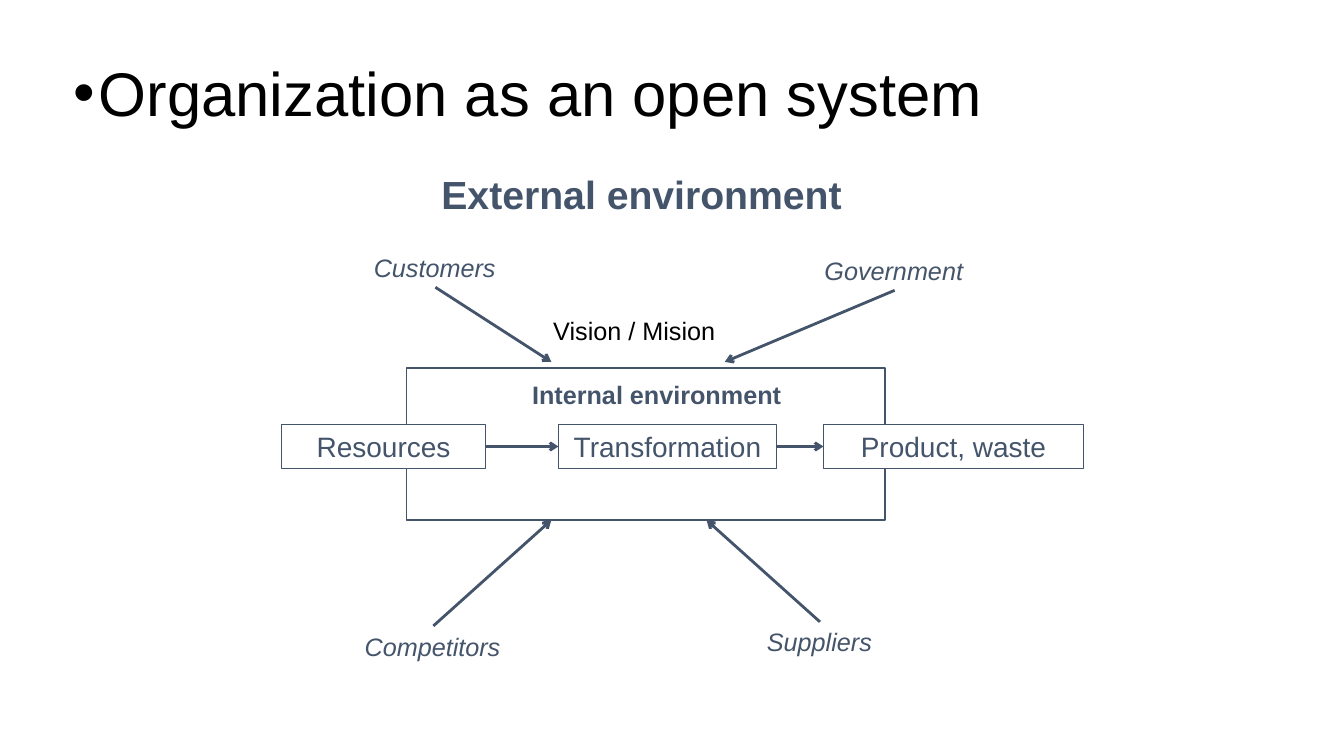
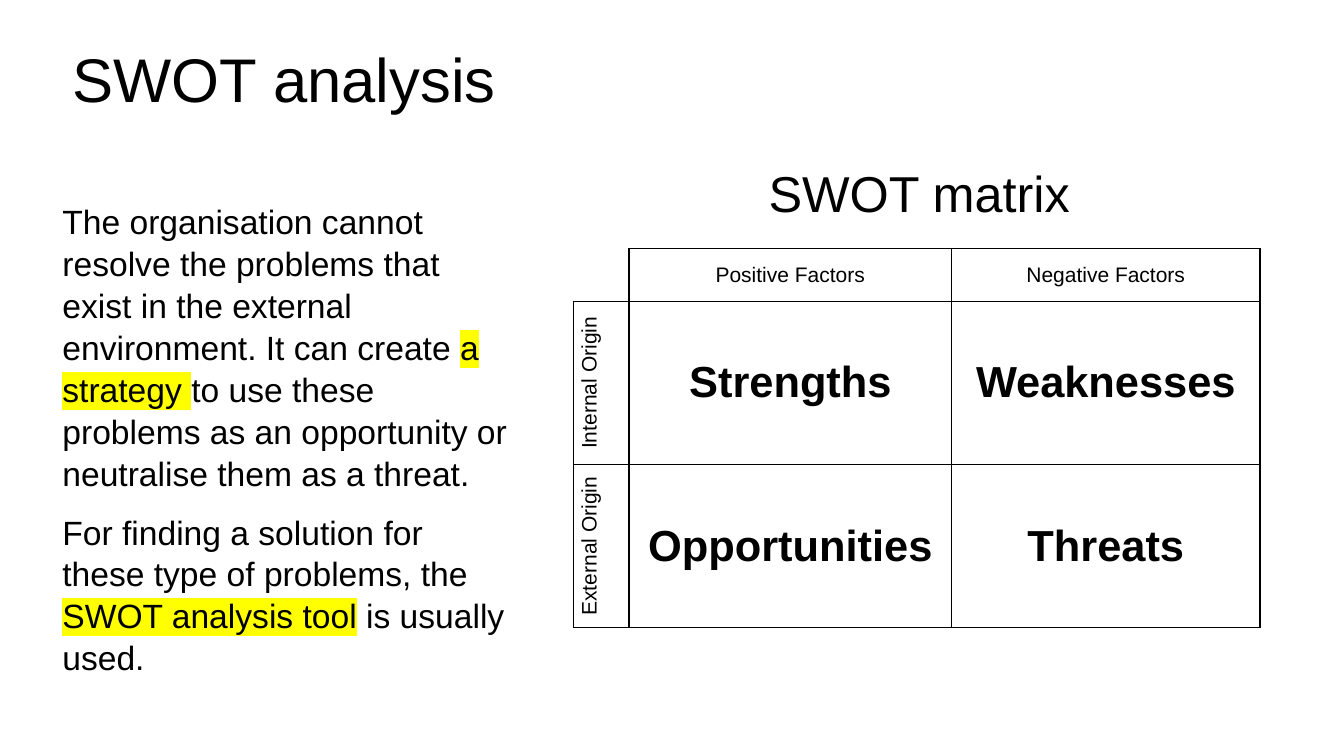
"""Build two slides: the organization as an open system and SWOT analysis."""
from lxml.etree import SubElement
from pptx import Presentation
from pptx.dml.color import RGBColor
from pptx.enum.shapes import MSO_CONNECTOR, MSO_SHAPE
from pptx.enum.text import MSO_ANCHOR, MSO_AUTO_SIZE, PP_ALIGN
from pptx.oxml.ns import qn
from pptx.util import Pt

BLACK, WHITE, SLATE, YELLOW = "000000", "FFFFFF", "44546A", "FFFF00"
color = RGBColor.from_string


def style_text(para, size, hex_color=BLACK, bold=False, italic=False, align=PP_ALIGN.LEFT):
    para.alignment = align
    for span in para.runs:
        span.font.name = "Arial"
        span.font.size = Pt(size)
        span.font.bold = bold
        span.font.italic = italic
        span.font.color.rgb = color(hex_color)


def add_label(page, text, left, top, width, height, size, **style):
    box = page.shapes.add_textbox(Pt(left), Pt(top), Pt(width), Pt(height))
    box.text_frame.word_wrap = False
    box.text_frame.text = text
    style_text(box.text_frame.paragraphs[0], size, **style)
    return box


deck = Presentation()
deck.slide_width, deck.slide_height = Pt(960), Pt(540)

pages = []
for layout, text, place, anchor in [
    (5, "Organization as an open system", (45.4, 28.8, 878.4, 79.9), MSO_ANCHOR.MIDDLE),
    (1, "SWOT analysis", (44.6, 25.9, 869, 60.5), MSO_ANCHOR.TOP),
]:
    page = deck.slides.add_slide(deck.slide_layouts[layout])
    title = page.shapes.title
    title.left, title.top, title.width, title.height = [Pt(length) for length in place]
    title.text_frame.text = text
    title.text_frame.auto_size = MSO_AUTO_SIZE.NONE
    title.text_frame.vertical_anchor = anchor
    style_text(title.text_frame.paragraphs[0], 44)
    pages.append(page)
system_page, swot_page = pages

para = system_page.shapes.title.text_frame.paragraphs[0]
para.line_spacing = 0.9
properties = para._p.get_or_add_pPr()
properties.set("marL", str(Pt(18)))
properties.set("indent", str(-Pt(18)))
SubElement(properties, qn("a:buFont")).set("typeface", "Arial")
SubElement(properties, qn("a:buChar")).set("char", "•")

boxes = {}
for text, left, top, width, height, weight in [
    ("", 290.2, 262.8, 342, 108.7, 1),
    ("Resources", 200.9, 303.1, 146.2, 31.7, 0.75),
    ("Product, waste", 588.2, 303.1, 185.8, 31.7, 0.75),
    ("Transformation", 398.9, 303.1, 155.9, 31.7, 0.75),
]:
    box = system_page.shapes.add_shape(
        MSO_SHAPE.RECTANGLE, Pt(left), Pt(top), Pt(width), Pt(height))
    box.shadow.inherit = False
    box.fill.solid()
    box.fill.fore_color.rgb = color(WHITE)
    box.line.color.rgb = color(SLATE)
    box.line.width = Pt(weight)
    box.text_frame.text = text
    style_text(box.text_frame.paragraphs[0], 20, SLATE, align=PP_ALIGN.CENTER)
    boxes[text] = box

arrows = []
for start, end in [("Resources", "Transformation"), ("Transformation", "Product, waste")]:
    arrow = system_page.shapes.add_connector(MSO_CONNECTOR.STRAIGHT, 0, 0, 0, 0)
    arrow.begin_connect(boxes[start], 3)
    arrow.end_connect(boxes[end], 1)
    arrows.append(arrow)

for text, left, top, width, side, end_x, end_y in [
    ("Customers", 259.9, 176.4, 102.2, 2, 393.8, 258.5),
    ("Competitors", 253.4, 447.1, 112.3, 0, 393.8, 371.5),
    ("Government", 581.8, 178.6, 114.5, 2, 517.7, 258.5),
    ("Suppliers", 540.7, 444.2, 90, 0, 504.7, 371.5),
]:
    label = add_label(system_page, text, left, top, width, 28.8, 18,
                      hex_color=SLATE, italic=True)
    arrow = system_page.shapes.add_connector(
        MSO_CONNECTOR.STRAIGHT, 0, 0, Pt(end_x), Pt(end_y))
    arrow.begin_connect(label, side)
    arrows.append(arrow)

for arrow in arrows:
    arrow.line.color.rgb = color(SLATE)
    arrow.line.width = Pt(2)
    SubElement(arrow.line._get_or_add_ln(), qn("a:tailEnd")).set("type", "arrow")
    SubElement(arrow._element.spPr, qn("a:effectLst"))

add_label(system_page, "External environment", 308.2, 118.1, 303.8, 41, 28,
          hex_color=SLATE, bold=True)
add_label(system_page, "Internal environment", 373, 267.1, 194.4, 28.8, 18,
          hex_color=SLATE, bold=True)
add_label(system_page, "Vision / Mision", 388.1, 221.8, 131, 28.8, 18)

body = swot_page.placeholders[1]
body.left, body.top, body.width, body.height = Pt(37.4), Pt(139), Pt(334.1), Pt(339.1)
frame = body.text_frame
frame.auto_size = MSO_AUTO_SIZE.NONE
for index, parts in enumerate([
    [("The organisation cannot resolve the problems that exist in the external "
      "environment. It can create ", False),
     ("a strategy ", True),
     ("to use these problems as an opportunity or neutralise them as a threat.", False)],
    [("For finding a solution for these type of problems, the ", False),
     ("SWOT analysis tool", True),
     (" is usually used.", False)],
]):
    para = frame.add_paragraph() if index else frame.paragraphs[0]
    para.line_spacing = 1.04
    para.space_before = Pt(6 if index else 0)
    para.space_after = Pt(6)
    properties = para._p.get_or_add_pPr()
    properties.set("marL", "0")
    properties.set("indent", "0")
    SubElement(properties, qn("a:buNone"))
    for text, marked in parts:
        para.add_run().text = text
    style_text(para, 24)
    for span, (text, marked) in zip(para.runs, parts):
        if marked:
            run_properties = span._r.get_or_add_rPr()
            highlight = SubElement(run_properties, qn("a:highlight"))
            SubElement(highlight, qn("a:srgbClr")).set("val", YELLOW)
            run_properties.find(qn("a:solidFill")).addnext(highlight)

matrix = swot_page.shapes.add_table(3, 3, Pt(409.7), Pt(177.8), Pt(490.3), Pt(270.7)).table
matrix.first_row = matrix.horz_banding = False
for column, width in zip(matrix.columns, [39.6, 230.4, 220.3]):
    column.width = Pt(width)
for row, height in zip(matrix.rows, [37.4, 116.6, 116.6]):
    row.height = Pt(height)

for row_index, texts in enumerate([
    ["", "Positive Factors", "Negative Factors"],
    ["Internal Origin", "Strengths", "Weaknesses"],
    ["External Origin", "Opportunities", "Threats"],
]):
    for column_index, text in enumerate(texts):
        cell = matrix.cell(row_index, column_index)
        cell.margin_left = cell.margin_right = Pt(5.8)
        cell.margin_top = cell.margin_bottom = Pt(2.9)
        cell.vertical_anchor = MSO_ANCHOR.MIDDLE
        cell.text_frame.text = text
        is_factor = row_index > 0 and column_index > 0
        style_text(cell.text_frame.paragraphs[0], 31 if is_factor else 15,
                   bold=is_factor, align=PP_ALIGN.CENTER)
        cell_properties = cell._tc.get_or_add_tcPr()
        if text and column_index == 0:
            cell_properties.set("vert", "vert270")
        for edge in ["lnL", "lnR", "lnT", "lnB"]:
            line = SubElement(cell_properties, qn("a:" + edge))
            if text or edge in ("lnR", "lnB"):
                line.set("w", str(Pt(1)))
                fill = SubElement(line, qn("a:solidFill"))
                SubElement(fill, qn("a:srgbClr")).set("val", BLACK)
            else:
                SubElement(line, qn("a:noFill"))
        cell.fill.background()

heading = add_label(swot_page, "SWOT matrix", 497.5, 112.3, 318.2, 51.1, 36,
                    align=PP_ALIGN.CENTER)
heading.text_frame.word_wrap = True

deck.save("out.pptx")
